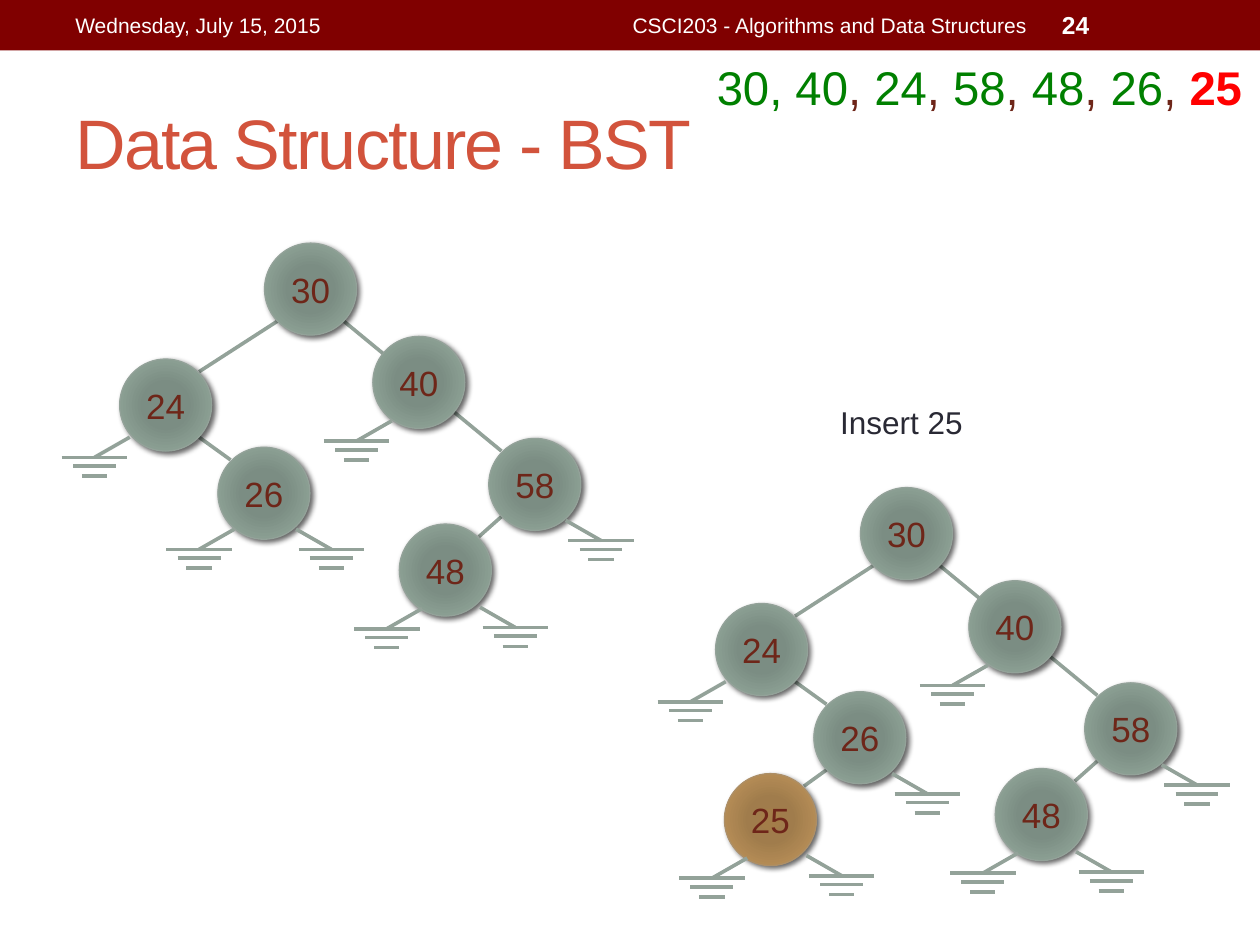
from dataclasses import dataclass, field
from typing import Any

from lxml.etree import SubElement
from pptx import Presentation
from pptx.dml.color import RGBColor
from pptx.enum.shapes import MSO_CONNECTOR, MSO_SHAPE
from pptx.enum.text import MSO_ANCHOR, PP_ALIGN
from pptx.oxml import parse_xml
from pptx.oxml.ns import nsdecls, qn
from pptx.util import Emu, Pt

PX = 9144  # 100 px to the inch
FONT = "Arial"
NODE_SIZE = 73
STEM_RUN, STEM_DROP = 28, 16
GROUND_BARS = ((0, 26), (7, 17), (15, 10))  # drop below the stem, half width

WHITE = RGBColor(0xFF, 0xFF, 0xFF)
MAROON = RGBColor(0x80, 0x00, 0x00)
CORAL = RGBColor(0xD2, 0x53, 0x3C)
GREEN = RGBColor(0x00, 0x80, 0x00)
RED = RGBColor(0xFF, 0x00, 0x00)
BROWN = RGBColor(0x6E, 0x26, 0x19)
INK = RGBColor(0x29, 0x29, 0x34)
SAGE = RGBColor(0x93, 0xA2, 0x99)
TAN = RGBColor(0xAD, 0x8F, 0x67)
SAGE_STOPS = (RGBColor(0x7B, 0x8E, 0x82), RGBColor(0x7B, 0x8D, 0x83),
              RGBColor(0x8A, 0x9E, 0x92), SAGE)
TAN_STOPS = (RGBColor(0xA3, 0x7D, 0x49), RGBColor(0xA0, 0x7C, 0x4C),
             RGBColor(0xB3, 0x8B, 0x55), TAN)
STOP_POSITIONS = (0, 34, 70, 100)


@dataclass(frozen=True)
class Run:
    text: str
    size: int
    color: RGBColor
    bold: bool = False


@dataclass(frozen=True)
class Label:
    box: tuple[int, int, int, int]
    runs: tuple[Run, ...]
    align: PP_ALIGN = PP_ALIGN.LEFT
    anchor: MSO_ANCHOR = MSO_ANCHOR.MIDDLE


@dataclass(frozen=True)
class Node:
    """A key, its place in the tree, and where its empty-child stems start."""
    key: int
    x: int
    y: int
    left_stem: tuple[int, int] | None = None
    right_stem: tuple[int, int] | None = None
    stops: tuple[RGBColor, ...] = SAGE_STOPS


@dataclass(frozen=True)
class Tree:
    origin: tuple[int, int]
    nodes: list[Node]
    edges: list[tuple[int, int]] = field(default_factory=list)


def px(*lengths: int) -> list[Emu]:
    return [Emu(length * PX) for length in lengths]


def set_values(target: Any, values: dict[str, Any]) -> None:
    for name, value in values.items():
        setattr(target, name, value)


def write(frame: Any, runs: tuple[Run, ...], align: PP_ALIGN, frame_format: dict[str, Any]) -> None:
    set_values(frame, {"word_wrap": True, **frame_format})
    paragraph = frame.paragraphs[0]
    paragraph.alignment = align
    for run in runs:
        part = paragraph.add_run()
        part.text = run.text
        set_values(part.font, {"name": FONT, "size": Pt(run.size), "bold": run.bold})
        part.font.color.rgb = run.color


def add_label(shapes: Any, label: Label) -> Any:
    text_box = shapes.add_textbox(*px(*label.box))
    write(text_box.text_frame, label.runs, label.align, {"vertical_anchor": label.anchor})
    return text_box


def add_line(shapes: Any, x1: int, y1: int, x2: int, y2: int) -> None:
    line = shapes.add_connector(MSO_CONNECTOR.STRAIGHT, *px(x1, y1, x2, y2))
    line.line.color.rgb = SAGE
    line.line.width = Pt(2.08)
    SubElement(line._element.spPr, qn("a:effectLst"))


def add_ground(shapes: Any, x: int, y: int, side: int) -> None:
    end_x, end_y = x + side * STEM_RUN, y + STEM_DROP
    add_line(shapes, x, y, end_x, end_y)
    for drop, half in GROUND_BARS:
        add_line(shapes, end_x - half, end_y + drop, end_x + half, end_y + drop)


def add_node(shapes: Any, node: Node, x: int, y: int) -> None:
    circle = shapes.add_shape(MSO_SHAPE.OVAL, *px(x, y, NODE_SIZE, NODE_SIZE))
    circle.fill.solid()
    circle.line.color.rgb = node.stops[-1]
    circle.line.width = Pt(0.75)
    circle.shadow.inherit = False
    properties = circle._element.spPr
    # Radial gradient and soft shadow
    stops = "".join(f'<a:gs pos="{position * 1000}"><a:srgbClr val="{color}"/></a:gs>'
                    for position, color in zip(STOP_POSITIONS, node.stops))
    properties.replace(properties.find(qn("a:solidFill")), parse_xml(
        f'<a:gradFill {nsdecls("a")} rotWithShape="1"><a:gsLst>{stops}</a:gsLst>'
        '<a:path path="circle"><a:fillToRect l="100000" t="100000" r="100000" b="100000"/>'
        '</a:path></a:gradFill>'))
    properties.find(qn("a:effectLst")).append(parse_xml(
        f'<a:outerShdw {nsdecls("a")} blurRad="38100" dist="25400" dir="2700000" '
        'rotWithShape="0"><a:srgbClr val="000000"><a:alpha val="60000"/></a:srgbClr>'
        '</a:outerShdw>'))
    margins = {f"margin_{edge}": 0 for edge in ("left", "right", "top", "bottom")}
    write(circle.text_frame, (Run(str(node.key), 20, BROWN),), PP_ALIGN.CENTER,
          {"vertical_anchor": MSO_ANCHOR.MIDDLE, **margins})


def add_tree(slide: Any, tree: Tree) -> None:
    shapes = slide.shapes.add_group_shape().shapes
    left, top = tree.origin
    by_key = {node.key: node for node in tree.nodes}
    # Edges join the lower rim of the parent to the upper rim of the child
    for parent_key, child_key in tree.edges:
        parent, child = by_key[parent_key], by_key[child_key]
        start, end = (63, 10) if child.x > parent.x else (10, 63)
        add_line(shapes, left + parent.x + start, top + parent.y + 62,
                 left + child.x + end, top + child.y + 10)
    for node in tree.nodes:
        x, y = left + node.x, top + node.y
        add_node(shapes, node, x, y)
        for side, stem in ((-1, node.left_stem), (1, node.right_stem)):
            if stem:
                add_ground(shapes, x + stem[0], y + stem[1], side)


# Page header, title and captions
HEADER = (
    Label((50, 2, 317, 36), (Run("Wednesday, July 15, 2015", 12, WHITE),)),
    Label((375, 2, 450, 36), (Run("CSCI203 - Algorithms and Data Structures", 12, WHITE),),
          PP_ALIGN.RIGHT),
    Label((833, 2, 117, 36), (Run("24", 14, WHITE, True),)),
)
TITLE = Label((50, 58, 900, 108), (Run("Data Structure - BST", 40, CORAL),))
KEY_PARTS = (("30, 40", GREEN), (", ", BROWN), ("24", GREEN), (", ", BROWN), ("58", GREEN),
             (", ", BROWN), ("48", GREEN), (",", BROWN), (" 26", GREEN), (", ", BROWN))
KEY_SEQUENCE = Label(
    (559, 41, 441, 57),
    (*(Run(text, 27, color) for text, color in KEY_PARTS), Run("25", 27, RED, True)),
    anchor=MSO_ANCHOR.TOP)
INSERT_CAPTION = Label((589, 315, 253, 40), (Run("Insert 25", 18, INK),),
                       PP_ALIGN.CENTER, MSO_ANCHOR.TOP)

# Trees before and after the insertion; the line from 30 to 58 passes behind 40
COMMON_NODES = [
    Node(30, 0, 0),
    Node(24, -115, 92, left_stem=(8, 62)),
    Node(40, 86, 74, left_stem=(15, 67)),
    Node(58, 178, 155, right_stem=(61, 65)),
    Node(48, 107, 223, left_stem=(18, 67), right_stem=(64, 66)),
]
COMMON_EDGES = [(30, 24), (30, 58), (24, 26), (58, 48)]
BEFORE = Tree((210, 193),
              [*COMMON_NODES, Node(26, -37, 162, left_stem=(13, 65), right_stem=(62, 65))],
              COMMON_EDGES)
AFTER = Tree((683, 387),
             [*COMMON_NODES, Node(26, -37, 162, right_stem=(62, 65)),
              Node(25, -108, 227, left_stem=(18, 67), right_stem=(65, 65), stops=TAN_STOPS)],
             [*COMMON_EDGES, (26, 25)])


def main() -> None:
    deck = Presentation()
    deck.slide_width, deck.slide_height = px(1000, 750)
    slide = deck.slides.add_slide(deck.slide_layouts[6])

    banner = slide.shapes.add_shape(MSO_SHAPE.RECTANGLE, *px(0, 0, 1000, 40))
    banner.fill.solid()
    banner.fill.fore_color.rgb = MAROON
    banner.line.fill.background()
    banner.shadow.inherit = False

    title = add_label(slide.shapes, TITLE)
    title.text_frame.paragraphs[0].runs[0].font._element.set("spc", "-100")
    for label in HEADER:
        add_label(slide.shapes, label)
    keys = add_label(slide.shapes, KEY_SEQUENCE)
    keys.fill.solid()
    keys.fill.fore_color.rgb = WHITE

    add_tree(slide, BEFORE)
    add_label(slide.shapes, INSERT_CAPTION)
    add_tree(slide, AFTER)
    deck.save("out.pptx")


if __name__ == "__main__":
    main()
